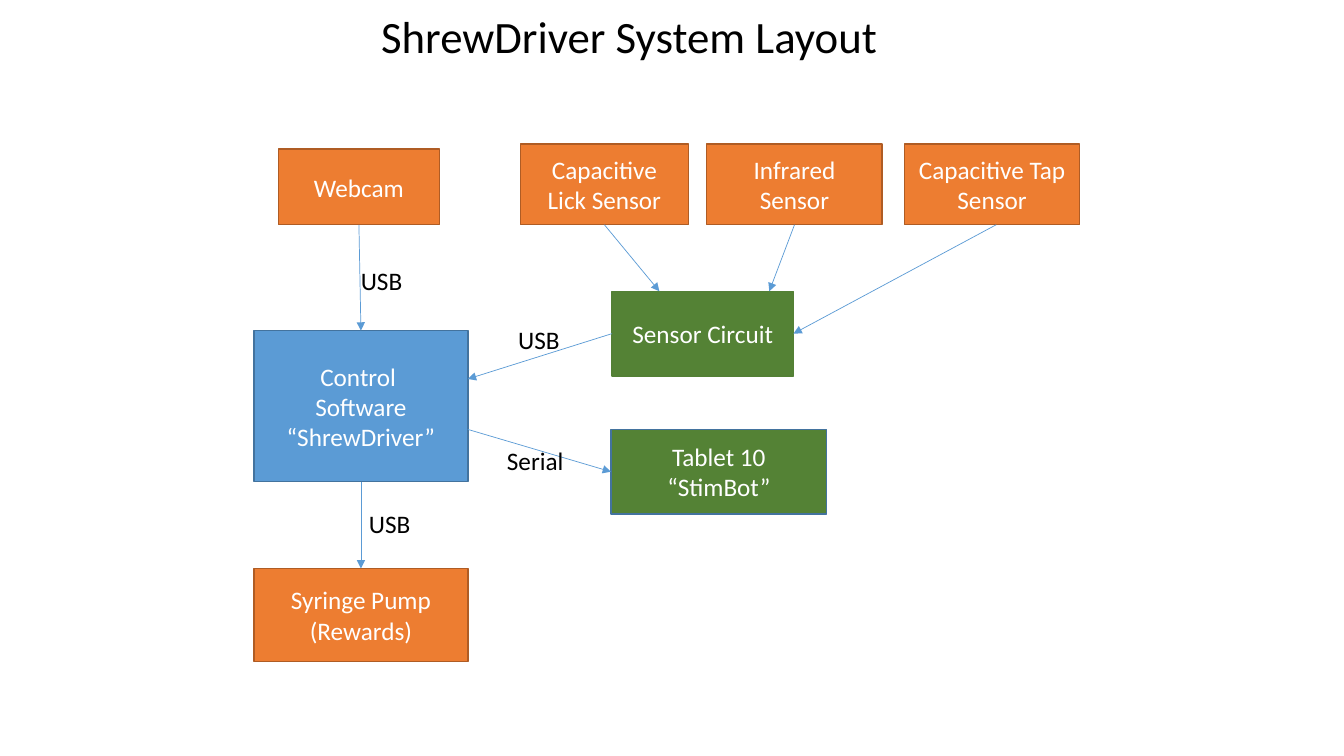
from dataclasses import dataclass

from lxml import etree
from pptx import Presentation
from pptx.dml.color import RGBColor
from pptx.enum import shapes, text
from pptx.oxml import ns
from pptx.util import Inches, Pt


@dataclass(frozen=True)
class Theme:
    """Colours, font and sizes of the diagram."""
    font: str = "Calibri"
    title: int = 32
    body: int = 18
    black: str = "000000"
    white: str = "FFFFFF"
    arrow: str = "5B9BD5"
    software: tuple = ("5B9BD5", "43739E")
    device: tuple = ("ED7D31", "AF5C24")
    board: tuple = ("548235", "538035")
    tablet: tuple = ("548235", "43739E")


THEME = Theme()
TOP, LEFT, BOTTOM, RIGHT = range(4)

BOXES = {
    "control": ("Control \nSoftware “ShrewDriver”", (2.52, 3.28, 2.12, 1.5), THEME.software),
    "webcam": ("Webcam", (2.76, 1.48, 1.6, 0.75), THEME.device),
    "lick": ("Capacitive\nLick Sensor", (5.16, 1.43, 1.67, 0.8), THEME.device),
    "infrared": ("Infrared Sensor", (7.01, 1.43, 1.74, 0.8), THEME.device),
    "tap": ("Capacitive Tap\nSensor", (8.97, 1.43, 1.74, 0.8), THEME.device),
    "sensor_board": ("Sensor Circuit", (6.07, 2.89, 1.8, 0.84), THEME.board),
    "pump": ("Syringe Pump (Rewards)", (2.52, 5.64, 2.12, 0.92), THEME.device),
    "tablet": ("Tablet 10\n“StimBot”", (6.06, 4.26, 2.14, 0.84), THEME.tablet),
}

ARROWS = [
    ((6, 2.23), (6.54, 2.89), ("lick", BOTTOM), None),
    ((7.88, 2.23), (7.63, 2.89), ("infrared", BOTTOM), None),
    ((9.88, 2.23), (7.87, 3.31), None, ("sensor_board", RIGHT)),
    ((3.56, 2.23), (3.58, 3.28), ("webcam", BOTTOM), ("control", TOP)),
    ((3.58, 4.78), (3.58, 5.64), ("control", BOTTOM), ("pump", TOP)),
    ((6.07, 3.31), (4.64, 3.76), ("sensor_board", LEFT), None),
    ((4.64, 4.26), (6.06, 4.68), None, ("tablet", LEFT)),
]

LABELS = [
    ("USB", (3.48, 2.58, 0.68, 0.4)),
    ("Serial", (4.93, 4.37, 0.77, 0.4)),
    ("USB", (3.56, 4.99, 0.68, 0.4)),
    ("USB", (5.04, 3.17, 0.68, 0.4)),
]


def set_attrs(obj, values):
    """Set each named attribute on an object."""
    for name, value in values.items():
        setattr(obj, name, value)


def write(sp, content, size, color, align, anchor):
    """Fill a shape with formatted paragraphs, one for each line."""
    tf = sp.text_frame
    tf.text = content
    set_attrs(tf, {"word_wrap": True, "vertical_anchor": anchor,
                   "auto_size": text.MSO_AUTO_SIZE.NONE})
    for p in tf.paragraphs:
        p.alignment = align
        for r in p.runs:
            set_attrs(r.font, {"name": THEME.font, "size": Pt(size)})
            r.font.color.rgb = RGBColor.from_string(color)


def add_title(s, content, at):
    """Place the slide title in its placeholder."""
    sp = s.shapes.title
    set_attrs(sp, dict(zip(("left", "top", "width", "height"), map(Inches, at))))
    write(sp, content, THEME.title, THEME.black, text.PP_ALIGN.LEFT, text.MSO_ANCHOR.TOP)


def add_box(s, content, at, colors):
    """Add a filled component box with centred text."""
    sp = s.shapes.add_shape(shapes.MSO_SHAPE.RECTANGLE, *map(Inches, at))
    fill, line = map(RGBColor.from_string, colors)
    sp.shadow.inherit = False
    sp.fill.solid()
    sp.fill.fore_color.rgb = fill
    sp.line.color.rgb = line
    sp.line.width = Pt(1)
    write(sp, content, THEME.body, THEME.white, text.PP_ALIGN.CENTER, text.MSO_ANCHOR.MIDDLE)
    return sp


def add_arrow(s, boxes, start, end, source, target):
    """Add an arrow, attached to boxes where a connection site is given."""
    sp = s.shapes.add_connector(shapes.MSO_CONNECTOR.STRAIGHT, *map(Inches, start + end))
    for connect, site in ((sp.begin_connect, source), (sp.end_connect, target)):
        if site:
            connect(boxes[site[0]], site[1])
    sp.line.color.rgb = RGBColor.from_string(THEME.arrow)
    sp.line.width = Pt(0.5)
    properties = sp.element.spPr
    line = properties.find(ns.qn("a:ln"))
    etree.SubElement(line, ns.qn("a:tailEnd"), type="triangle")
    etree.SubElement(properties, ns.qn("a:effectLst"))


def add_label(s, content, at):
    """Add a connection label."""
    sp = s.shapes.add_textbox(*map(Inches, at))
    write(sp, content, THEME.body, THEME.black, text.PP_ALIGN.LEFT, text.MSO_ANCHOR.TOP)


def main():
    """Build the system layout slide."""
    prs = Presentation()
    set_attrs(prs, {"slide_width": Inches(13.33), "slide_height": Inches(7.5)})
    s = prs.slides.add_slide(prs.slide_layouts.get_by_name("Title Only"))
    add_title(s, "ShrewDriver System Layout", (3.68, 0.04, 6.14, 0.64))
    boxes = {name: add_box(s, *box) for name, box in BOXES.items()}
    for arrow in ARROWS:
        add_arrow(s, boxes, *arrow)
    for label in LABELS:
        add_label(s, *label)
    prs.save("out.pptx")


main()
